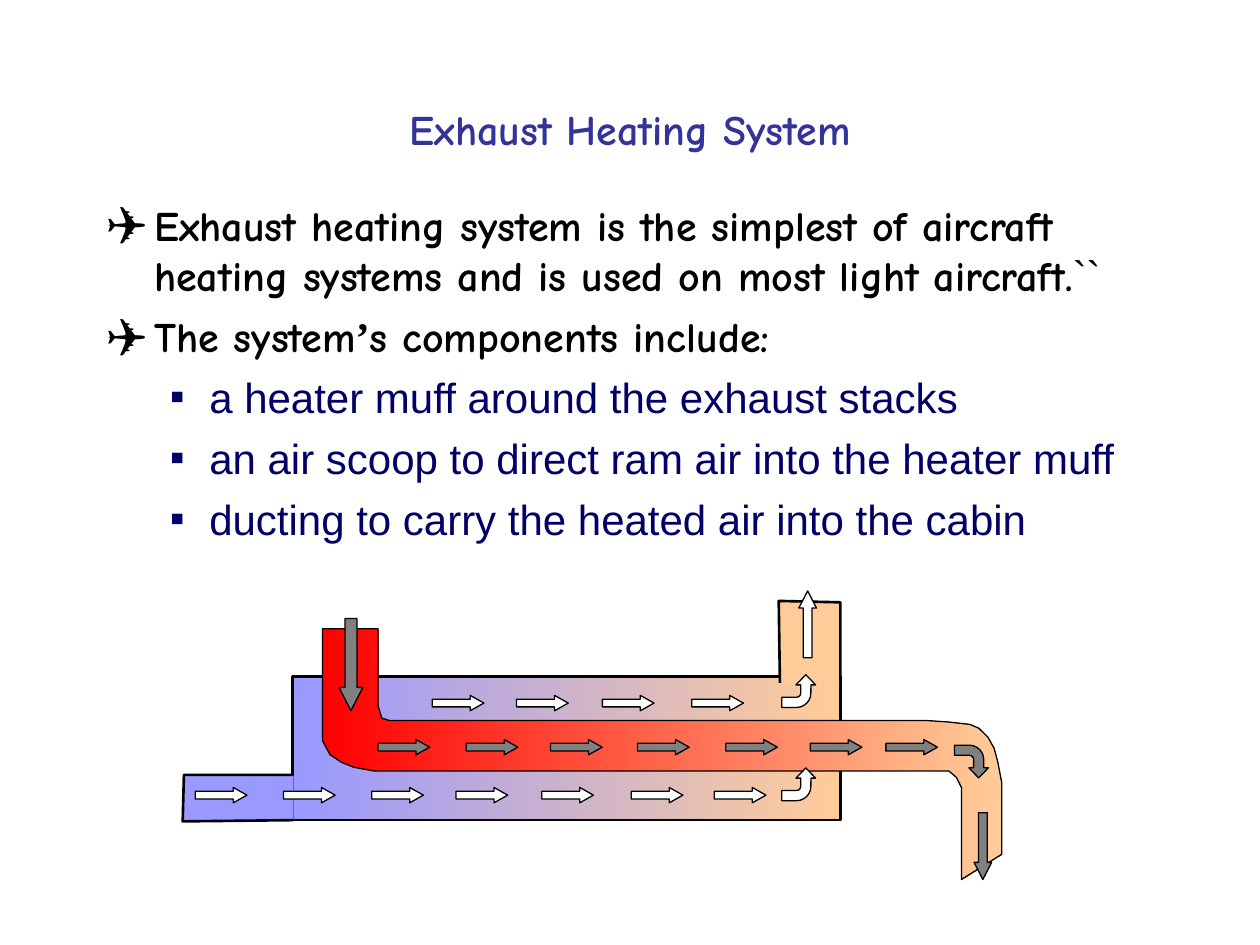
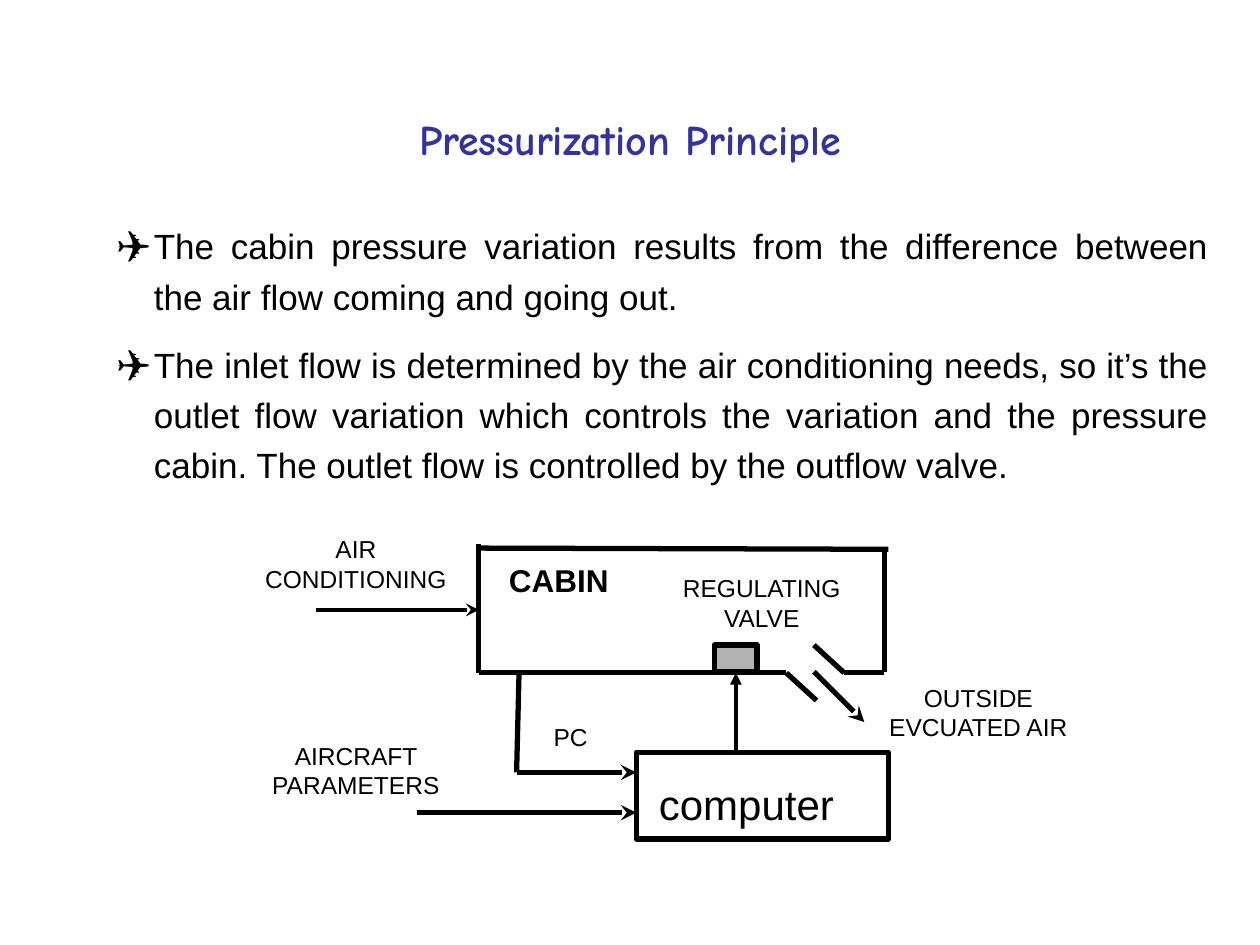
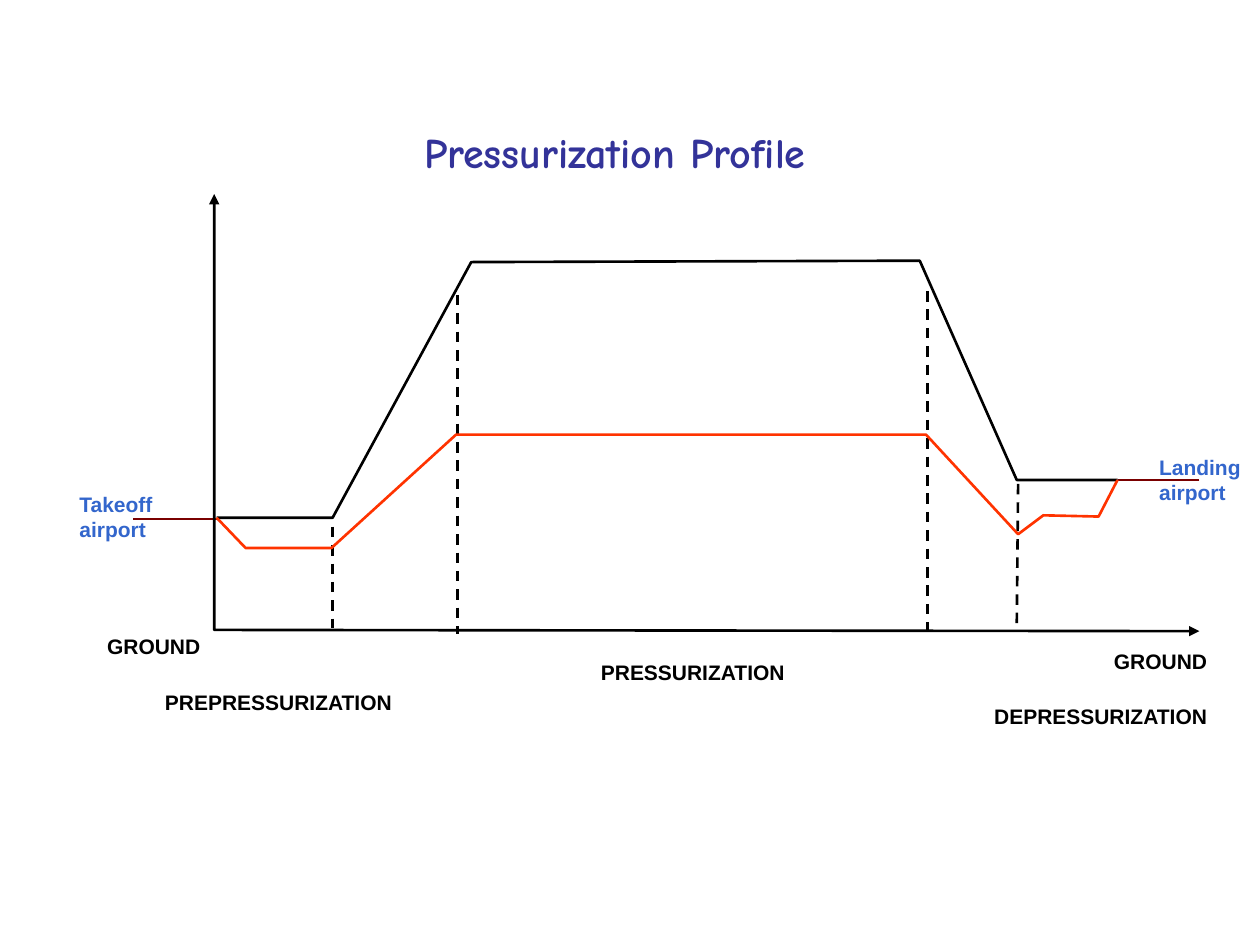
import pptx
import pptx.util
import pptx.dml.color
import pptx.enum.dml
import pptx.enum.shapes
import pptx.enum.text
import pptx.oxml.ns
from lxml import etree

Pt = pptx.util.Pt
qn = pptx.oxml.ns.qn
Kind = pptx.enum.shapes.MSO_SHAPE
Align = pptx.enum.text.PP_ALIGN
Anchor = pptx.enum.text.MSO_ANCHOR

BLACK, WHITE, GREY = "000000", "FFFFFF", "808080"
TITLE, NAVY, BLUE = "333399", "000066", "3366CC"
COLD, WARM, HOT = "9999FF", "FFCC99", "FF0000"
FLIGHT, MAROON, VALVE = "FF3300", "7A0000", "B2B2B2"
SANS, COMIC, SERIF = "Arial", "Comic Neue", "Times New Roman"


def ink(fill, hue):
    """Fill with one colour, a left-to-right pair of colours, or nothing."""
    if hue is None:
        fill.background()
    elif isinstance(hue, str):
        fill.solid()
        fill.fore_color.rgb = pptx.dml.color.RGBColor.from_string(hue)
    else:
        fill.gradient()
        fill.gradient_angle = 0
        for stop, tone in zip(fill.gradient_stops, hue):
            stop.color.rgb = pptx.dml.color.RGBColor.from_string(tone)


def write(para, text, size, hue, bold=False, name=SANS):
    run = para.add_run()
    run.text = text
    for key, value in {"size": Pt(size), "bold": bold, "name": name}.items():
        setattr(run.font, key, value)
    ink(run.font.fill, hue)


deck = pptx.Presentation()
deck.slide_width, deck.slide_height = Pt(720), Pt(540)
heat, press, graph = pages = [
    deck.slides.add_slide(deck.slide_layouts[6]) for _ in range(3)]

# Titles
titles = [
    ("Exhaust Heating System", 54, 49, 49),
    ("Pressurization Principle", 54, 52, 54),
    ("Pressurization Profile", 45.4, 63.4, 46),
]
for page, (text, left, top, high) in zip(pages, titles):
    frame = page.shapes.add_textbox(Pt(left), Pt(top), Pt(612), Pt(high)).text_frame
    frame.word_wrap = True
    frame.vertical_anchor = Anchor.MIDDLE
    frame.paragraphs[0].alignment = Align.CENTER
    write(frame.paragraphs[0], text, 24, TITLE, True, COMIC)

# Bulleted text: level, bullet, margin, hang, colour, then runs of text and font
lead = (0, "✈", 27, 27, BLACK)
sub = (1, "▪", 58.5, 22.5, NAVY)
point = (0, "✈", 21, 21, BLACK)
bodies = [
    (heat, (54, 110.2, 617.8, 388), 24, 6, 1, [
        (lead, [("Exhaust heating system is the simplest of aircraft heating "
                 "systems and is used on most light aircraft.", COMIC)]),
        (lead, [("The system", COMIC), ("’", SERIF),
                ("s components include:", COMIC)]),
        (sub, [("a heater muff around the exhaust stacks", SANS)]),
        (sub, [("an air scoop to direct ram air into the heater muff", SANS)]),
        (sub, [("ducting to carry the heated air into the cabin", SANS)]),
    ]),
    (press, (59.8, 120.2, 638, 385), 20, 10, 1.2, [
        (point, [("The cabin pressure variation results from the difference "
                  "between the air flow coming and going out.", SANS)]),
        (point, [("The inlet flow is determined by the air conditioning needs, "
                  "so it’s the outlet flow variation which controls the "
                  "variation and the pressure cabin. The outlet flow is "
                  "controlled by the outflow valve.", SANS)]),
    ]),
]
for page, box, size, gap, lead_in, items in bodies:
    frame = page.shapes.add_textbox(*map(Pt, box)).text_frame
    frame.word_wrap = True
    for row, ((level, mark, edge, hang, hue), runs) in enumerate(items):
        para = frame.add_paragraph() if row else frame.paragraphs[0]
        para.alignment = Align.JUSTIFY
        para.level = level
        para.line_spacing = lead_in
        para.space_before = Pt(gap if row else 0)
        props = para._p.get_or_add_pPr()
        props.set("marL", str(Pt(edge)))
        props.set("indent", str(-Pt(hang)))
        tint = etree.SubElement(props, qn("a:buClr"))
        etree.SubElement(tint, qn("a:srgbClr"), val=hue)
        etree.SubElement(props, qn("a:buFont"), typeface=SANS)
        etree.SubElement(props, qn("a:buChar"), char=mark)
        for text, name in runs:
            write(para, text, size, hue, name == COMIC or name == SERIF, name)

# Straight lines: page, ends, colour, width, dash, arrowhead
lines = [
    (press, (355, 366.5, 355, 366.5), BLACK, 0.75, False, None),
    (press, (180.7, 348.5, 273.6, 348.5), BLACK, 2.5, False, "stealth"),
    (press, (420.5, 429.8, 420.5, 384.5), BLACK, 2.25, False, "triangle"),
    (graph, (123.8, 296.6, 76.3, 296.6), MAROON, 1, False, None),
    (graph, (685.4, 274.3, 638.6, 274.3), MAROON, 1, False, None),
]
walls = [
    (273.6, 311, 273.6, 384.5), (273.6, 313.2, 507.6, 313.9),
    (273.6, 384.5, 449.3, 384.5), (505.4, 313.2, 505.4, 383.8),
    (505.4, 384.5, 482.4, 384.5), (449.3, 384.5, 466.6, 400.3),
    (465.1, 368.6, 482.4, 384.5), (296.6, 384.5, 295.2, 441.4),
]
flows = [
    (465.1, 383.8, 493.9, 412.6), (295.2, 441.4, 363.6, 441.4),
    (238.3, 464.4, 363.6, 464.4),
]
phases = [
    (190.1, 301, 190.1, 358.6), (261.4, 168.5, 261.4, 362.2),
    (529.9, 166.3, 529.9, 360), (581.8, 276.5, 581, 358.6),
]
lines += [(press, ends, BLACK, 3, False, None) for ends in walls]
lines += [(press, ends, BLACK, 3, False, "stealth") for ends in flows]
lines += [(graph, ends, BLACK, 1.5, True, None) for ends in phases]
for page, ends, hue, width, dash, tip in lines:
    link = page.shapes.add_connector(
        pptx.enum.shapes.MSO_CONNECTOR.STRAIGHT, *map(Pt, ends))
    ink(link.line.fill, hue)
    link.line.width = Pt(width)
    if dash:
        link.line.dash_style = pptx.enum.dml.MSO_LINE.DASH
    if tip:
        etree.SubElement(link.line._get_or_add_ln(), qn("a:tailEnd"), type=tip)
    etree.SubElement(link.element.spPr, qn("a:effectLst"))

# Preset shapes: page, kind, box, fill, line width, adjustments, turn, mirrored
forms = [
    (heat, Kind.RECTANGLE, (167, 386.6, 313.2, 82.1), (COLD, WARM), 1.5, (), 0, False),
    (press, Kind.RECTANGLE, (363.6, 429.8, 144, 49.7), None, 3, (), 0, False),
    (press, Kind.RECTANGLE, (408.2, 368.6, 24.5, 15.1), VALVE, 3, (), 0, False),
]
streams = [
    (GREY, 422.6, (216, 266.4, 314.6, 364.3, 414.7, 463, 506.2)),
    (WHITE, 450, (111.6, 162, 212.4, 260.6, 309.6, 360.7, 408.2)),
    (WHITE, 397.4, (247, 295.2, 344.2, 395.3)),
]
shafts = [
    (Kind.DOWN_ARROW, (193.7, 353.5, 13.7, 52.6), GREY),
    (Kind.DOWN_ARROW, (556.6, 464.4, 10.1, 38.2), GREY),
    (Kind.UP_ARROW, (456.5, 337.7, 10.1, 38.2), WHITE),
]
bends = [(545.8, 425.5, GREY), (447.1, 438.5, WHITE), (447.1, 385.2, WHITE)]
arrows = [(heat, Kind.RIGHT_ARROW, (left, top, 29.5, 8.8), hue, 0.75, (0.5, 0.89), 0, False)
          for hue, top, lefts in streams for left in lefts]
arrows += [(heat, kind, box, hue, 0.75, (0.5, 0.97), 0, False)
           for kind, box, hue in shafts]
arrows += [(heat, Kind.BENT_ARROW, (left, top, 18.7, 19.4), hue, 0.75,
            (0.31, 0.3, 0.31, 0.44), 90, hue == WHITE) for left, top, hue in bends]

# Outlines: page, points, closed, fill, line colour, line width, arrowheads
pipe = [
    (184.3, 359.3), (216, 359.3), (216, 403.2), (218.2, 410.4), (222.5, 411.8),
    (529.9, 411.8), (542.2, 412.6), (554.4, 414), (559.4, 416.2), (564.5, 421.2),
    (568.1, 427.7), (570.2, 435.6), (572.4, 447.1), (572.4, 488.2), (549.4, 502.6),
    (549.4, 450), (546.5, 444.2), (542.2, 440.6), (529.9, 440.6), (213.8, 440.6),
    (202.3, 438.5), (195.1, 435.6), (188.6, 431.3), (184.3, 423.4),
]
scoop = [(167.8, 442.8), (105.1, 442.8), (104.4, 469.4), (167.8, 468.7)]
duct = [(480.2, 389.5), (480.2, 344.2), (445, 343.4), (445.7, 390.2)]
axes = [(122.4, 110.9), (122.4, 360), (685.4, 360.7)]
plane = [(123.8, 295.9), (190.1, 295.9), (269.3, 149.8), (525.6, 149),
         (581, 274.3), (638.6, 274.3)]
cabin = [(123.8, 295.9), (140.4, 313.2), (189.4, 313.2), (260.6, 248.4),
         (529.2, 248.4), (581.8, 305.3), (596.2, 294.5), (627.8, 295.2),
         (638.6, 274.3)]
outlines = [
    (heat, pipe, True, (HOT, WARM), BLACK, 0.75, False),
    (heat, scoop, False, COLD, BLACK, 1.5, False),
    (heat, duct, False, WARM, BLACK, 1.5, False),
    (graph, axes, False, None, BLACK, 1.5, True),
    (graph, plane, False, None, BLACK, 1.5, False),
    (graph, cabin, False, None, FLIGHT, 1.5, False),
]

for group in (forms, outlines, arrows):
    for item in group:
        page = item[0]
        if group is outlines:
            _, dots, shut, fill, hue, width, tips = item
            dots = [(Pt(x), Pt(y)) for x, y in dots]
            pen = page.shapes.build_freeform(*dots[0])
            pen.add_line_segments(dots[1:], close=shut)
            shape = pen.convert_to_shape()
        else:
            _, kind, box, fill, width, bias, turn, flip = item
            hue, tips = BLACK, False
            shape = page.shapes.add_shape(kind, *map(Pt, box))
            for spot, value in enumerate(bias):
                shape.adjustments[spot] = value
            shape.rotation = turn
            if flip:
                shape.element.spPr.xfrm.set("flipH", "1")
        ink(shape.fill, fill)
        ink(shape.line.fill, hue)
        shape.line.width = Pt(width)
        shape.shadow.inherit = False
        if tips:
            for end in ("a:headEnd", "a:tailEnd"):
                etree.SubElement(shape.line._get_or_add_ln(), qn(end), type="triangle")

muff = heat.shapes[1]
muff.text_frame.vertical_anchor = Anchor.TOP
muff.text_frame.paragraphs[0].alignment = Align.LEFT
write(muff.text_frame.paragraphs[0], "``", 24, BLACK)

# Labels: page, size, colour, bold, alignment, side and top insets, texts with boxes
labels = [
    (press, 14, BLACK, False, Align.CENTER, 0, 0, [
        ("OUTSIDE EVCUATED AIR", 504, 390.2, 110.2, 33.8),
        ("PC", 311, 412.6, 30.2, 16.6),
        ("AIR CONDITIONING", 148.3, 305.3, 110.2, 33.8),
        ("REGULATING VALVE", 380.2, 327.6, 110.2, 33.8),
        ("AIRCRAFT PARAMETERS", 148.3, 423.4, 110.2, 33.8)]),
    (press, 24, BLACK, False, Align.LEFT, 7.2, 3.6, [
        ("computer", 369.4, 441.4, 124.6, 36)]),
    (press, 18, BLACK, True, Align.LEFT, 7.2, 3.6, [
        ("CABIN", 283.7, 316.8, 95, 28.8)]),
    (graph, 12, BLACK, True, Align.LEFT, 0, 0, [
        ("GROUND", 61.2, 362.2, 57.6, 14.4),
        ("PREPRESSURIZATION", 94.3, 393.8, 136, 14.4),
        ("PRESSURIZATION", 343.4, 376.6, 136, 14.4),
        ("DEPRESSURIZATION", 568.1, 401.8, 126, 14.4),
        ("GROUND", 636.5, 370.8, 73.4, 14.4)]),
    (graph, 12, BLUE, True, Align.LEFT, 0, 0, [
        ("Takeoff airport", 45.4, 280.8, 57.6, 28.8),
        ("Landing airport", 662.4, 259.9, 57.6, 28.8)]),
]
for page, size, hue, bold, align, side, head, texts in labels:
    for text, *box in texts:
        frame = page.shapes.add_textbox(*map(Pt, box)).text_frame
        looks = {"word_wrap": True, "margin_left": Pt(side), "margin_right": Pt(side),
                 "margin_top": Pt(head), "margin_bottom": Pt(head)}
        for key, value in looks.items():
            setattr(frame, key, value)
        frame.paragraphs[0].alignment = align
        write(frame.paragraphs[0], text, size, hue, bold)

deck.save("out.pptx")
